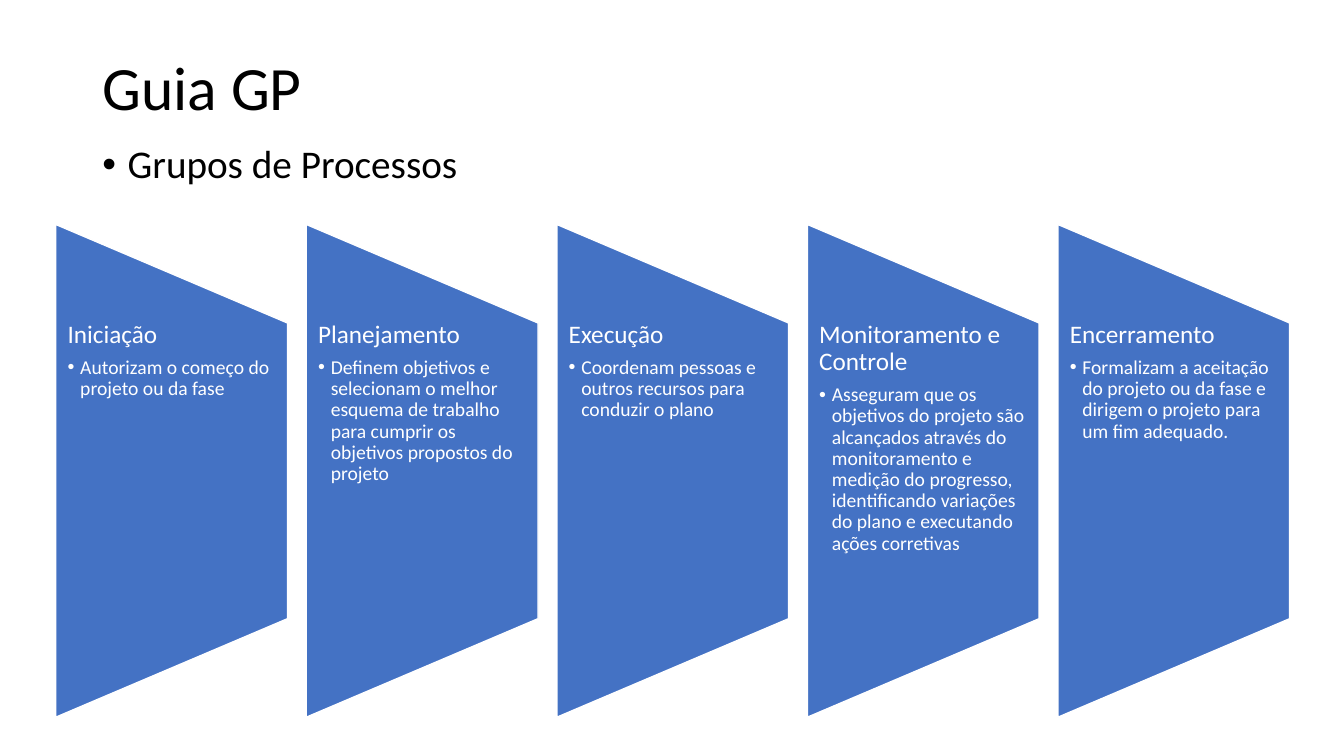
from lxml.etree import SubElement
from pptx import Presentation
from pptx.dml.color import RGBColor
from pptx.enum.shapes import MSO_SHAPE
from pptx.enum.text import MSO_ANCHOR, MSO_AUTO_SIZE, PP_ALIGN
from pptx.oxml.ns import qn
from pptx.util import Pt

BLACK, WHITE, BLUE = "000000", "FFFFFF", "4472C4"
PROCESS_GROUPS = [
    ("Iniciação", "Autorizam o começo do projeto ou da fase"),
    ("Planejamento", "Definem objetivos e selecionam o melhor esquema de trabalho "
                     "para cumprir os objetivos propostos do projeto"),
    ("Execução", "Coordenam pessoas e outros recursos para conduzir o plano"),
    ("Monitoramento e Controle", "Asseguram que os objetivos do projeto são alcançados "
                                 "através do monitoramento e medição do progresso, "
                                 "identificando variações do plano e executando ações corretivas"),
    ("Encerramento", "Formalizam a aceitação do projeto ou da fase e dirigem o projeto "
                     "para um fim adequado."),
]


def color(value):
    return RGBColor.from_string(value)


def apply_format(target, values):
    for name, value in values.items():
        setattr(target, name, value)


def place(shape, left, top, width, height):
    apply_format(shape, {"left": Pt(left), "top": Pt(top),
                         "width": Pt(width), "height": Pt(height)})


def write(para, text, size, ink, indent=0, after=0):
    properties = para._p.get_or_add_pPr()
    properties.set("marL", str(Pt(indent)))
    properties.set("indent", str(Pt(-indent)))
    if indent:
        SubElement(properties, qn("a:buFont"), typeface="Arial")
        SubElement(properties, qn("a:buChar"), char="•")
    apply_format(para, {"alignment": PP_ALIGN.LEFT, "line_spacing": 0.9,
                        "space_before": Pt(0), "space_after": Pt(after)})
    span = para.add_run()
    span.text = text
    apply_format(span.font, {"size": Pt(size), "name": "Calibri"})
    span.font.color.rgb = color(ink)


def fill_placeholder(shape, box, text, size, anchor, indent=0):
    place(shape, *box)
    apply_format(shape.text_frame, {"word_wrap": True, "vertical_anchor": anchor,
                                    "auto_size": MSO_AUTO_SIZE.NONE})
    write(shape.text_frame.paragraphs[0], text, size, BLACK, indent)


def add_process_group(page, left, top, width, height, heading, description):
    panel = page.shapes.add_shape(MSO_SHAPE.FLOWCHART_MANUAL_OPERATION, 0, 0, 0, 0)
    shift = (height - width) / 2
    place(panel, left - shift, top + shift, height, width)
    panel.rotation = 270
    panel.shadow.inherit = False
    panel.fill.solid()
    panel.fill.fore_color.rgb = color(BLUE)
    panel.line.color.rgb = color(WHITE)
    panel.line.width = Pt(1)

    label = page.shapes.add_textbox(0, 0, 0, 0)
    place(label, left, top + height / 5 - 1, width, height * 0.6)
    frame = label.text_frame
    apply_format(frame, {"word_wrap": True, "margin_left": Pt(8.5), "margin_right": Pt(9),
                         "margin_top": 0, "margin_bottom": 0})
    write(frame.paragraphs[0], heading, 18, WHITE, after=6.3)
    para = frame.add_paragraph()
    para.level = 1
    write(para, description, 14, WHITE, indent=9, after=2.1)


def add_process_row(page, left, top, width, height):
    gap = 13.4
    count = len(PROCESS_GROUPS)
    panel_width = (width - gap * (count - 1)) / count
    for index, (heading, description) in enumerate(PROCESS_GROUPS):
        add_process_group(page, left + index * (panel_width + gap), top,
                          panel_width, height, heading, description)


def build_process_slide(deck):
    page = deck.slides.add_slide(deck.slide_layouts[1])
    fill_placeholder(page.shapes.title, (66, 29, 828, 71), "Guia GP", 44, MSO_ANCHOR.MIDDLE)
    fill_placeholder(page.placeholders[1], (66, 100, 828, 386), "Grupos de Processos",
                     28, MSO_ANCHOR.TOP, indent=18)
    add_process_row(page, 39.8, 160.3, 881.4, 352)


def main():
    deck = Presentation()
    apply_format(deck, {"slide_width": Pt(960), "slide_height": Pt(540)})
    build_process_slide(deck)
    deck.save("out.pptx")


if __name__ == "__main__":
    main()
